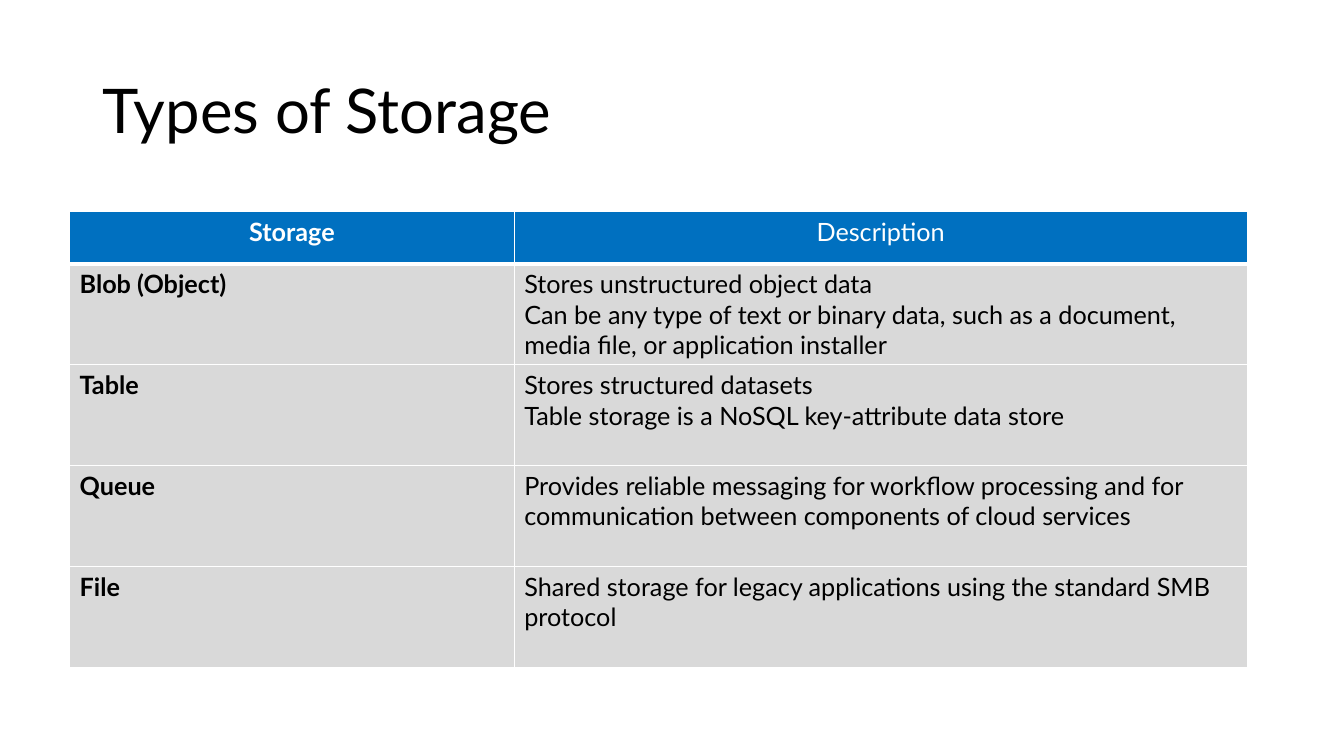
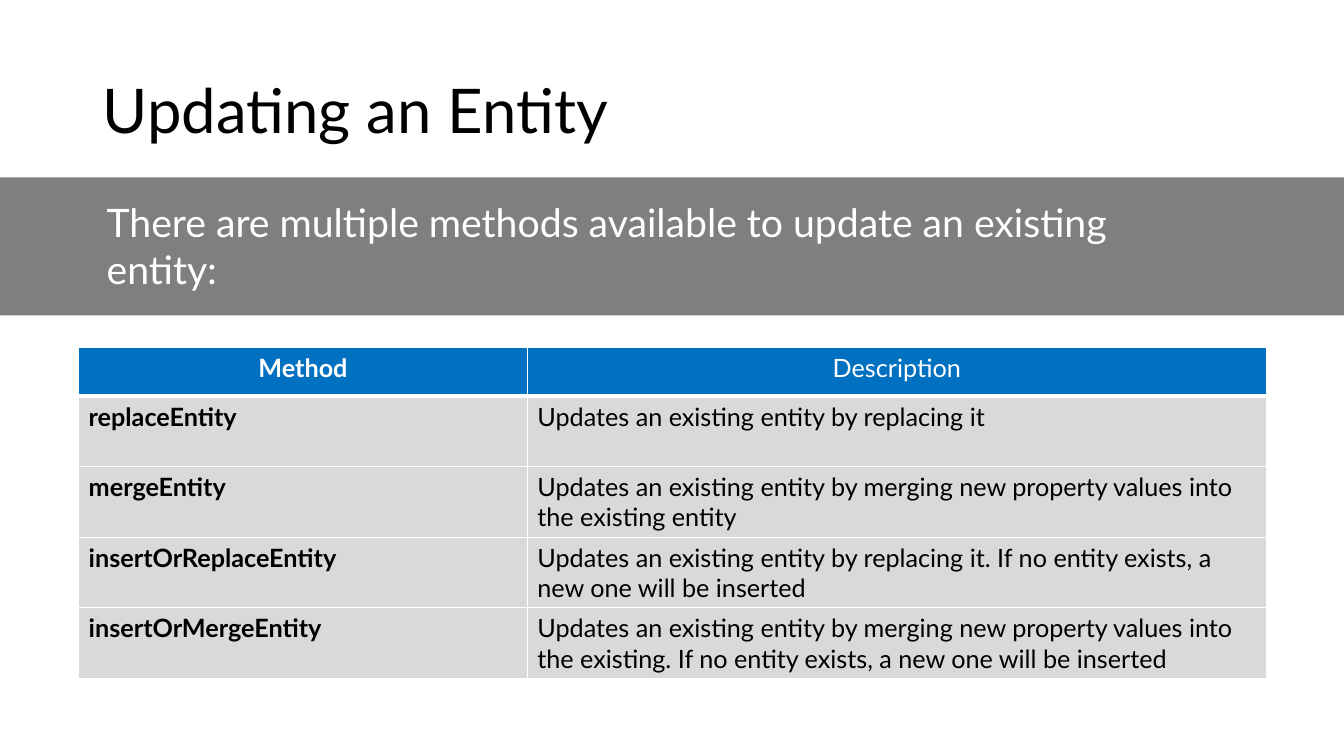
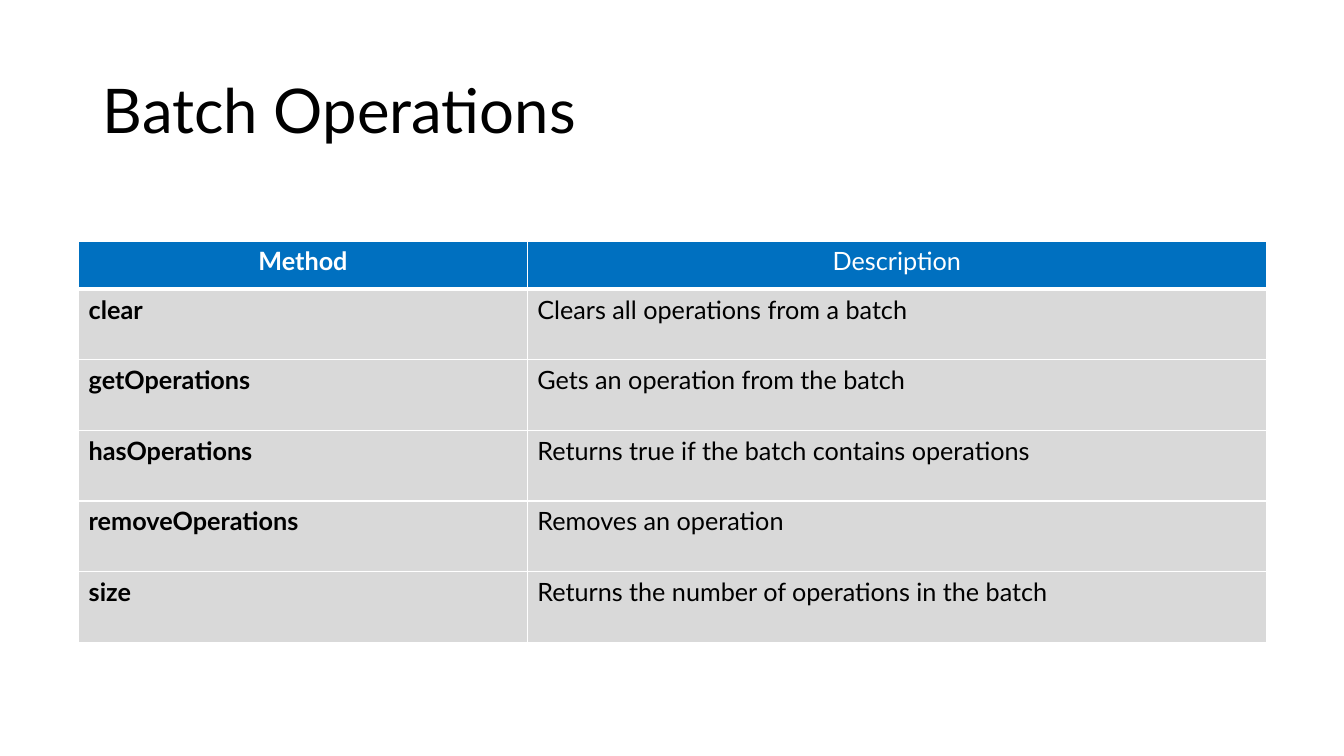
"""Build three slides with tables on storage types, entity updates and batch operations."""
import dataclasses

import lxml.etree
import pptx
import pptx.dml.color
import pptx.enum.shapes
import pptx.enum.text
import pptx.oxml.ns
import pptx.presentation
import pptx.slide
import pptx.table
import pptx.text.text
import pptx.util

Inches = pptx.util.Inches
Pt = pptx.util.Pt
ALIGN = pptx.enum.text.PP_ALIGN
ANCHOR = pptx.enum.text.MSO_ANCHOR

FONT = "Lato"
COLORS = {
    "text": "000000",
    "light": "FFFFFF",
    "header": "0070C0",
    "body": "D9D9D9",
    "band": "7F7F7F",
}
SLIDE_WIDTH = 13.33


@dataclasses.dataclass(frozen=True)
class TableSpec:
    """Position, sizes and wording of one two-column table."""

    left: float
    top: float
    columns: tuple[float, float]
    header_height: float
    row_height: float
    rows: list[tuple[str, str]]


@dataclasses.dataclass(frozen=True)
class SlideSpec:
    """Title, table and optional banner of one slide."""

    title: str
    table: TableSpec
    banner: str = ""


METHOD_TABLE = {
    "left": 0.78,
    "columns": (4.45, 7.33),
    "header_height": 0.48,
    "row_height": 0.7,
}

SLIDES = [
    SlideSpec(
        "Types of Storage",
        TableSpec(0.69, 2.1, (4.41, 7.27), 0.52, 1, [
            ("Storage", "Description"),
            ("Blob (Object)",
             "Stores unstructured object data\n"
             "Can be any type of text or binary data, such as a document, "
             "media file, or application installer"),
            ("Table",
             "Stores structured datasets\n"
             "Table storage is a NoSQL key-attribute data store"),
            ("Queue",
             "Provides reliable messaging for workflow processing and for "
             "communication between components of cloud services"),
            ("File",
             "Shared storage for legacy applications using the standard SMB protocol"),
        ]),
    ),
    SlideSpec(
        "Updating an Entity",
        TableSpec(top=3.45, rows=[
            ("Method", "Description"),
            ("replaceEntity", "Updates an existing entity by replacing it"),
            ("mergeEntity",
             "Updates an existing entity by merging new property values into "
             "the existing entity"),
            ("insertOrReplaceEntity",
             "Updates an existing entity by replacing it. If no entity exists, "
             "a new one will be inserted"),
            ("insertOrMergeEntity",
             "Updates an existing entity by merging new property values into "
             "the existing. If no entity exists, a new one will be inserted"),
        ], **METHOD_TABLE),
        "There are multiple methods available to update an existing entity:",
    ),
    SlideSpec(
        "Batch Operations",
        TableSpec(top=2.39, rows=[
            ("Method", "Description"),
            ("clear", "Clears all operations from a batch"),
            ("getOperations", "Gets an operation from the batch"),
            ("hasOperations", "Returns true if the batch contains operations"),
            ("removeOperations", "Removes an operation"),
            ("size", "Returns the number of operations in the batch"),
        ], **METHOD_TABLE),
    ),
]


def rgb(name: str) -> pptx.dml.color.RGBColor:
    """Return the named colour."""
    return pptx.dml.color.RGBColor.from_string(COLORS[name])


def format_text(tf: pptx.text.text.TextFrame, size: float, color: str,
                bold: bool = False, align: ALIGN = ALIGN.LEFT) -> None:
    """Format every paragraph and run of a text frame."""
    for p in tf.paragraphs:
        p.alignment = align
        for r in p.runs:
            r.font.name = FONT
            r.font.size = Pt(size)
            r.font.bold = bold
            r.font.color.rgb = rgb(color)


def set_borders(cell: pptx.table._Cell, widths: dict[str, float]) -> None:
    """Give the sides of a cell light borders of the given widths."""
    qn = pptx.oxml.ns.qn
    tc_pr = cell._tc.get_or_add_tcPr()
    for i, (side, width) in enumerate(widths.items()):
        ln = lxml.etree.Element(qn(f"a:ln{side}"), w=str(int(Pt(width))))
        fill = lxml.etree.SubElement(ln, qn("a:solidFill"))
        lxml.etree.SubElement(fill, qn("a:srgbClr"), val=COLORS["light"])
        tc_pr.insert(i, ln)


def add_title(s: pptx.slide.Slide, text: str) -> None:
    """Fill and place the title placeholder."""
    sp = s.shapes.title
    sp.left, sp.top = Inches(0.92), Inches(0.4)
    sp.width, sp.height = Inches(11.5), Inches(1.45)
    tf = sp.text_frame
    tf.text = text
    tf.auto_size = pptx.enum.text.MSO_AUTO_SIZE.NONE
    tf.vertical_anchor = ANCHOR.MIDDLE
    tf.paragraphs[0].line_spacing = 0.9
    format_text(tf, 44, "text")


def add_table(s: pptx.slide.Slide, spec: TableSpec) -> None:
    """Draw a table with a coloured header row."""
    heights = [spec.header_height] + [spec.row_height] * (len(spec.rows) - 1)
    table = s.shapes.add_table(
        len(spec.rows), len(spec.columns), Inches(spec.left), Inches(spec.top),
        Inches(sum(spec.columns)), Inches(sum(heights))).table
    table.horz_banding = False
    for column, width in zip(table.columns, spec.columns):
        column.width = Inches(width)
    for i, (row, height, texts) in enumerate(zip(table.rows, heights, spec.rows)):
        row.height = Inches(height)
        header = i == 0
        borders = {"L": 1, "R": 1, "T": 3 if i == 1 else 1, "B": 3 if header else 1}
        for j, (cell, text) in enumerate(zip(row.cells, texts)):
            cell.text_frame.text = text
            cell.fill.solid()
            cell.fill.fore_color.rgb = rgb("header" if header else "body")
            set_borders(cell, borders)
            format_text(cell.text_frame, 18, "light" if header else "text",
                        bold=j == 0, align=ALIGN.CENTER if header else ALIGN.LEFT)


def add_banner(s: pptx.slide.Slide, text: str) -> None:
    """Draw a full-width band with its text as one group."""
    group = s.shapes.add_group_shape()
    band = group.shapes.add_shape(
        pptx.enum.shapes.MSO_SHAPE.RECTANGLE,
        0, Inches(1.76), Inches(SLIDE_WIDTH), Inches(1.37))
    band.shadow.inherit = False
    band.fill.solid()
    band.fill.fore_color.rgb = rgb("band")
    band.line.fill.background()
    tf = group.shapes.add_textbox(
        Inches(0.96), Inches(1.92), Inches(11.23), Inches(1.04)).text_frame
    tf.word_wrap = True
    tf.text = text
    format_text(tf, 28, "light")


def add_slide(prs: pptx.presentation.Presentation, spec: SlideSpec) -> None:
    """Add one slide with its title, table and banner."""
    s = prs.slides.add_slide(prs.slide_layouts.get_by_name("Title Only"))
    add_title(s, spec.title)
    add_table(s, spec.table)
    if spec.banner:
        add_banner(s, spec.banner)


def main() -> None:
    """Build and save the presentation."""
    prs = pptx.Presentation()
    prs.slide_width, prs.slide_height = Inches(SLIDE_WIDTH), Inches(7.5)
    for spec in SLIDES:
        add_slide(prs, spec)
    prs.save("out.pptx")


if __name__ == "__main__":
    main()
